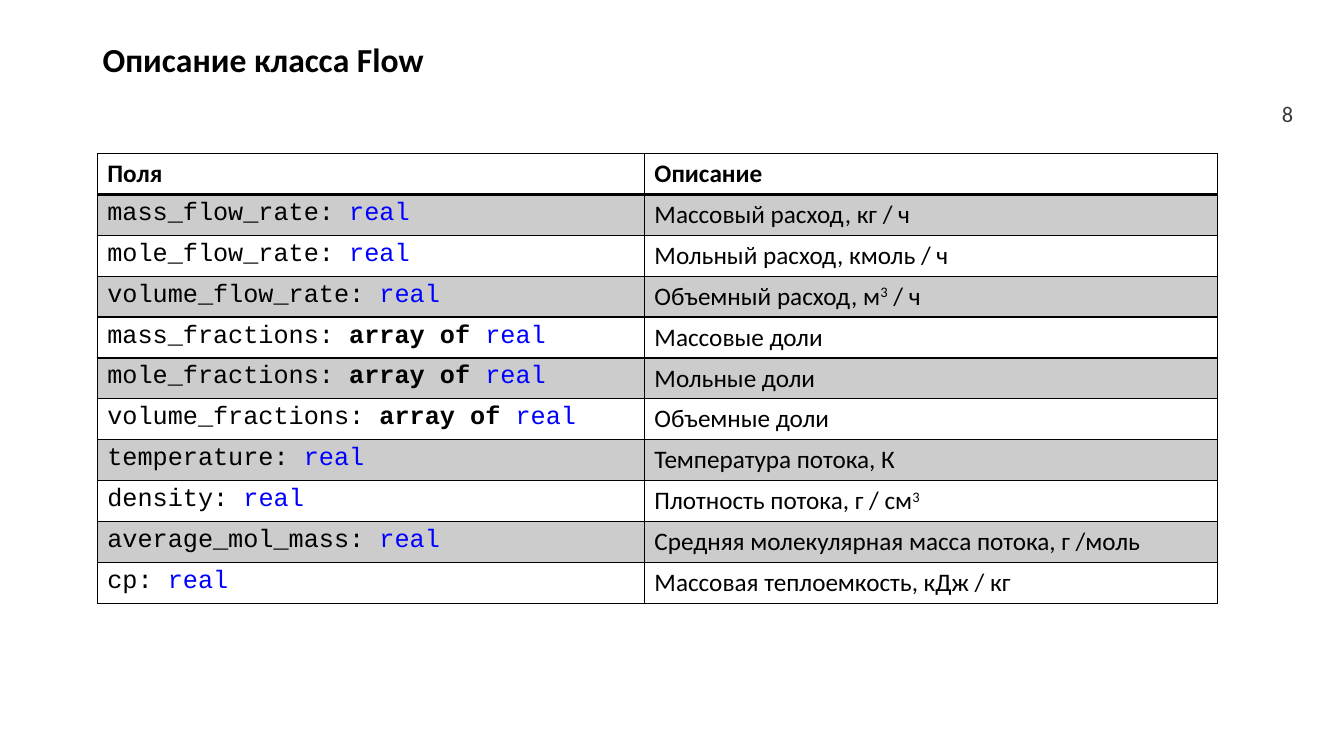
from dataclasses import dataclass

from lxml.etree import SubElement
from pptx import Presentation
from pptx.dml.color import RGBColor
from pptx.enum.text import MSO_ANCHOR as Anchor, PP_ALIGN as Align
from pptx.oxml.ns import qn
from pptx.util import Cm, Pt

TITLE = "Описание класса Flow"
PAGE = "8"
HEADINGS = ("Поля", "Описание")
# Field, type prefix, description, superscript, rest of description
FIELDS = [
    ("mass_flow_rate", "", "Массовый расход, кг / ч", "", ""),
    ("mole_flow_rate", "", "Мольный расход, кмоль / ч", "", ""),
    ("volume_flow_rate", "", "Объемный расход, м", "3", " / ч"),
    ("mass_fractions", "array of ", "Массовые доли", "", ""),
    ("mole_fractions", "array of ", "Мольные доли", "", ""),
    ("volume_fractions", "array of ", "Объемные доли", "", ""),
    ("temperature", "", "Температура потока, К", "", ""),
    ("density", "", "Плотность потока, г / см", "3", ""),
    ("average_mol_mass", "", "Средняя молекулярная масса потока, г /моль", "", ""),
    ("cp", "", "Массовая теплоемкость, кДж / кг", "", ""),
]
FIELD_TYPE = "real"


@dataclass(frozen=True)
class Theme:
    ink: str = "000000"
    keyword: str = "0000FF"
    page: str = "3B3838"
    band_alpha: int = 20
    body_font: str = "Calibri"
    code_font: str = "Courier New"
    title_size: int = 24
    body_size: int = 18
    page_size: int = 16
    thin: int = 1
    thick: int = 2


THEME = Theme()
COLUMN_WIDTHS = (13.79, 14.45)
ROW_HEIGHT = 1.03


def add_text(paragraph, text, font=THEME.body_font, size=THEME.body_size,
             color=THEME.ink, bold=False, raised=False):
    if not text:
        return
    run = paragraph.add_run()
    run.text = text
    run.font.name = font
    run.font.size = Pt(size)
    run.font.bold = bold
    run.font.color.rgb = RGBColor.from_string(color)
    if raised:
        run.font._element.set("baseline", "30000")


def place(shape, left, top, width, height):
    shape.left, shape.top = Cm(left), Cm(top)
    shape.width, shape.height = Cm(width), Cm(height)


def style_cell(cell, banded, bottom):
    """Draw the four borders, then the band tint or no fill."""
    properties = cell._tc.get_or_add_tcPr()
    for side, weight in zip("LRTB", (THEME.thin,) * 3 + (bottom,)):
        border = SubElement(properties, qn(f"a:ln{side}"), w=str(Pt(weight)))
        SubElement(SubElement(border, qn("a:solidFill")),
                   qn("a:srgbClr"), val=THEME.ink)
    if banded:
        cell.fill.solid()
        cell.fill.fore_color.rgb = RGBColor.from_string(THEME.ink)
        tint = properties.find(f"{qn('a:solidFill')}/{qn('a:srgbClr')}")
        SubElement(tint, qn("a:alpha"), val=str(THEME.band_alpha * 1000))
    else:
        cell.fill.background()


def add_title(slide):
    title = slide.shapes.title
    place(title, 2.33, 0.44, 27.39, 2.2)
    title.text_frame.vertical_anchor = Anchor.MIDDLE
    heading = title.text_frame.paragraphs[0]
    heading.alignment = Align.LEFT
    heading.line_spacing = 0.9
    add_text(heading, TITLE, size=THEME.title_size, bold=True)


def add_page_number(slide):
    page = slide.shapes.add_textbox(Cm(31.54), Cm(2.34), Cm(1.3), Cm(1.02))
    page.text_frame.word_wrap = True
    page.text_frame.vertical_anchor = Anchor.MIDDLE
    number = page.text_frame.paragraphs[0]
    number.alignment = Align.RIGHT
    add_text(number, PAGE, size=THEME.page_size, color=THEME.page)


def add_field_table(slide):
    row_count = len(FIELDS) + 1
    table = slide.shapes.add_table(
        row_count, len(HEADINGS), Cm(2.45), Cm(3.87),
        Cm(sum(COLUMN_WIDTHS)), Cm(ROW_HEIGHT * row_count)).table
    table.first_row = table.horz_banding = False
    for column, width in zip(table.columns, COLUMN_WIDTHS):
        column.width = Cm(width)
    for index, row in enumerate(table.rows):
        row.height = Cm(ROW_HEIGHT)
        for cell in row.cells:
            style_cell(cell, banded=index % 2 == 1,
                       bottom=THEME.thin if index else THEME.thick)

    for column, heading in enumerate(HEADINGS):
        add_text(table.cell(0, column).text_frame.paragraphs[0], heading, bold=True)
    for index, (field, prefix, description, power, rest) in enumerate(FIELDS, 1):
        declaration, meaning = (
            cell.text_frame.paragraphs[0] for cell in table.rows[index].cells)
        add_text(declaration, f"{field}: ", font=THEME.code_font)
        add_text(declaration, prefix, font=THEME.code_font, bold=True)
        add_text(declaration, FIELD_TYPE, font=THEME.code_font, color=THEME.keyword)
        add_text(meaning, description)
        add_text(meaning, power, raised=True)
        add_text(meaning, rest)


def main():
    deck = Presentation()
    deck.slide_width, deck.slide_height = Cm(33.87), Cm(19.05)
    slide = deck.slides.add_slide(deck.slide_layouts.get_by_name("Title Only"))
    add_page_number(slide)
    add_title(slide)
    add_field_table(slide)
    deck.save("out.pptx")


if __name__ == "__main__":
    main()
